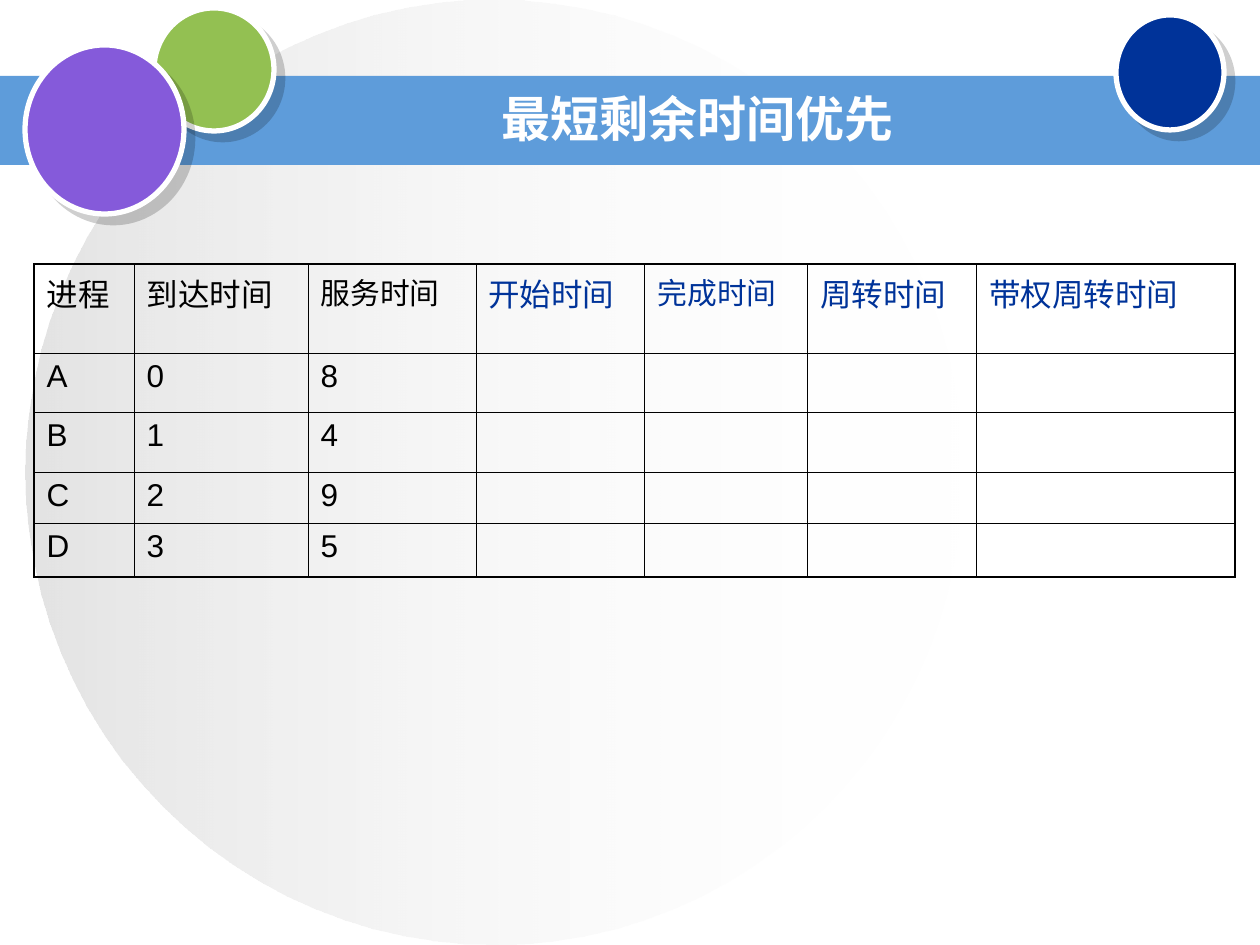
from dataclasses import dataclass

from lxml import etree
from pptx import Presentation
from pptx.dml.color import RGBColor
from pptx.enum.shapes import MSO_SHAPE
from pptx.enum.text import MSO_ANCHOR, PP_ALIGN
from pptx.oxml.ns import qn
from pptx.util import Emu, Pt

OVAL, RECTANGLE = MSO_SHAPE.OVAL, MSO_SHAPE.RECTANGLE
MIDDLE, CENTER = MSO_ANCHOR.MIDDLE, PP_ALIGN.CENTER
EMU_PER_PX = 914400 / 126
BLANK_LAYOUT = 6


@dataclass(frozen=True)
class Theme:
    white: str = "FFFFFF"
    black: str = "000000"
    navy: str = "003399"
    band: str = "5E9CDA"
    green: str = "93C052"
    purple: str = "855ADA"
    disc_light: str = "FEFEFE"
    disc_dark: str = "C0C0C0"
    latin: str = "Arial"
    chinese: str = "Noto Sans CJK SC"
    title_size: int = 28
    text_size: int = 18
    tight_size: int = 17
    ring: int = 3
    outer_border: float = 1.08
    inner_border: float = 0.45


THEME = Theme()

# Heading, text size, colour, Latin font, column width
COLUMNS = [
    ("进程", THEME.text_size, THEME.black, THEME.latin, 100),
    ("到达时间", THEME.text_size, THEME.black, THEME.latin, 174),
    ("服务时间", THEME.tight_size, THEME.black, THEME.latin, 168),
    ("开始时间", THEME.text_size, THEME.navy, THEME.chinese, 169),
    ("完成时间", THEME.tight_size, THEME.navy, THEME.chinese, 163),
    ("周转时间", THEME.text_size, THEME.navy, THEME.chinese, 169),
    ("带权周转时间", THEME.text_size, THEME.navy, THEME.chinese, 258),
]
PROCESSES = [("A", "0", "8"), ("B", "1", "4"), ("C", "2", "9"), ("D", "3", "5")]
ROW_HEIGHTS = [89, 59, 60, 51, 54]


def px(length):
    return Emu(round(length * EMU_PER_PX))


def rgb(colour):
    return RGBColor.from_string(colour)


def add_child(parent, tag, **attributes):
    child = etree.SubElement(parent, qn(tag))
    for name, value in attributes.items():
        child.set(name, str(value))
    return child


def add_plain_shape(slide, kind, box, colour=None):
    shape = slide.shapes.add_shape(kind, *map(px, box))
    shape.shadow.inherit = False
    shape.line.fill.background()
    if colour:
        shape.fill.solid()
        shape.fill.fore_color.rgb = rgb(colour)
    return shape


def write(paragraph, text, colour, latin=THEME.latin, **font_format):
    run = paragraph.add_run()
    run.text = text
    for name, value in {"name": latin, **font_format}.items():
        setattr(run.font, name, value)
    run.font.color.rgb = rgb(colour)
    add_child(run.font._element, "a:ea", typeface=THEME.chinese)


def add_backdrop(slide, box):
    """Large disc that fades out from left to right."""
    disc = add_plain_shape(slide, OVAL, box)
    disc.fill.gradient()
    disc.fill.gradient_angle = 180
    for stop, colour in zip(disc.fill.gradient_stops, (THEME.disc_light, THEME.disc_dark)):
        stop.color.rgb = rgb(colour)
    for colour, alpha in zip(disc.element.spPr.iter(qn("a:srgbClr")), (0, 44000)):
        add_child(colour, "a:alpha", val=alpha)


def add_ball(slide, box, colour):
    """Circle with a white ring and a hard shadow."""
    ball = add_plain_shape(slide, OVAL, box, colour)
    ball.line.color.rgb = rgb(THEME.white)
    ball.line.width = Pt(THEME.ring)
    effects = ball.element.spPr.find(qn("a:effectLst"))
    shadow = add_child(effects, "a:outerShdw", blurRad=0, dist=Pt(7.1),
                       dir=45 * 60000, algn="ctr", rotWithShape=0)
    add_child(add_child(shadow, "a:srgbClr", val=THEME.black), "a:alpha", val=19000)


def add_header(slide, box, title):
    left, top, width, height = box
    add_plain_shape(slide, RECTANGLE, box, THEME.band)
    for x, y, w, h, colour in (
        (154, -68, 120, 123, THEME.green),
        (1116, -61, 108, 115, THEME.navy),
        (25, -31, 159, 169, THEME.purple),
    ):
        add_ball(slide, (left + x, top + y, w, h), colour)
    title_box = (left + 283, top + 8, width - 431, height - 22)
    frame = slide.shapes.add_textbox(*map(px, title_box)).text_frame
    frame.word_wrap = True
    frame.vertical_anchor = MIDDLE
    paragraph = frame.paragraphs[0]
    paragraph.alignment = CENTER
    write(paragraph, title, THEME.white, size=Pt(THEME.title_size), bold=True)


def set_borders(cell, outer_sides):
    """Draw all four sides, with the thicker line on the outer ones."""
    properties = cell._tc.get_or_add_tcPr()
    for position, side in enumerate("LRTB"):
        width = THEME.outer_border if side in outer_sides else THEME.inner_border
        line = add_child(properties, f"a:ln{side}", w=Pt(width))
        add_child(add_child(line, "a:solidFill"), "a:srgbClr", val=THEME.black)
        properties.insert(position, line)


def add_schedule(slide, left, top):
    widths = [column[-1] for column in COLUMNS]
    box = (left, top, sum(widths), sum(ROW_HEIGHTS))
    table = slide.shapes.add_table(len(ROW_HEIGHTS), len(widths), *map(px, box)).table
    table.first_row = table.horz_banding = False
    for column, width in zip(table.columns, widths):
        column.width = px(width)
    for row, height in zip(table.rows, ROW_HEIGHTS):
        row.height = px(height)

    last_row, last_column = len(ROW_HEIGHTS) - 1, len(widths) - 1
    for r in range(last_row + 1):
        for c in range(last_column + 1):
            cell = table.cell(r, c)
            cell.fill.background()
            edges = {"L": c == 0, "R": c == last_column, "T": r == 0, "B": r == last_row}
            set_borders(cell, [side for side, is_outer in edges.items() if is_outer])

    for c, (heading, size, colour, latin, _) in enumerate(COLUMNS):
        write(table.cell(0, c).text_frame.paragraphs[0], heading, colour, latin, size=Pt(size))
    for r, process in enumerate(PROCESSES, start=1):
        for c, value in enumerate(process):
            write(table.cell(r, c).text_frame.paragraphs[0], value, THEME.black,
                  size=Pt(THEME.text_size))


def main():
    deck = Presentation()
    deck.slide_width, deck.slide_height = px(1260), px(945)
    slide = deck.slides.add_slide(deck.slide_layouts[BLANK_LAYOUT])
    add_backdrop(slide, (25, 0, 937, 945))
    add_header(slide, (0, 76, 1260, 89), "最短剩余时间优先")
    add_schedule(slide, 34, 264)
    deck.save("out.pptx")


if __name__ == "__main__":
    main()
